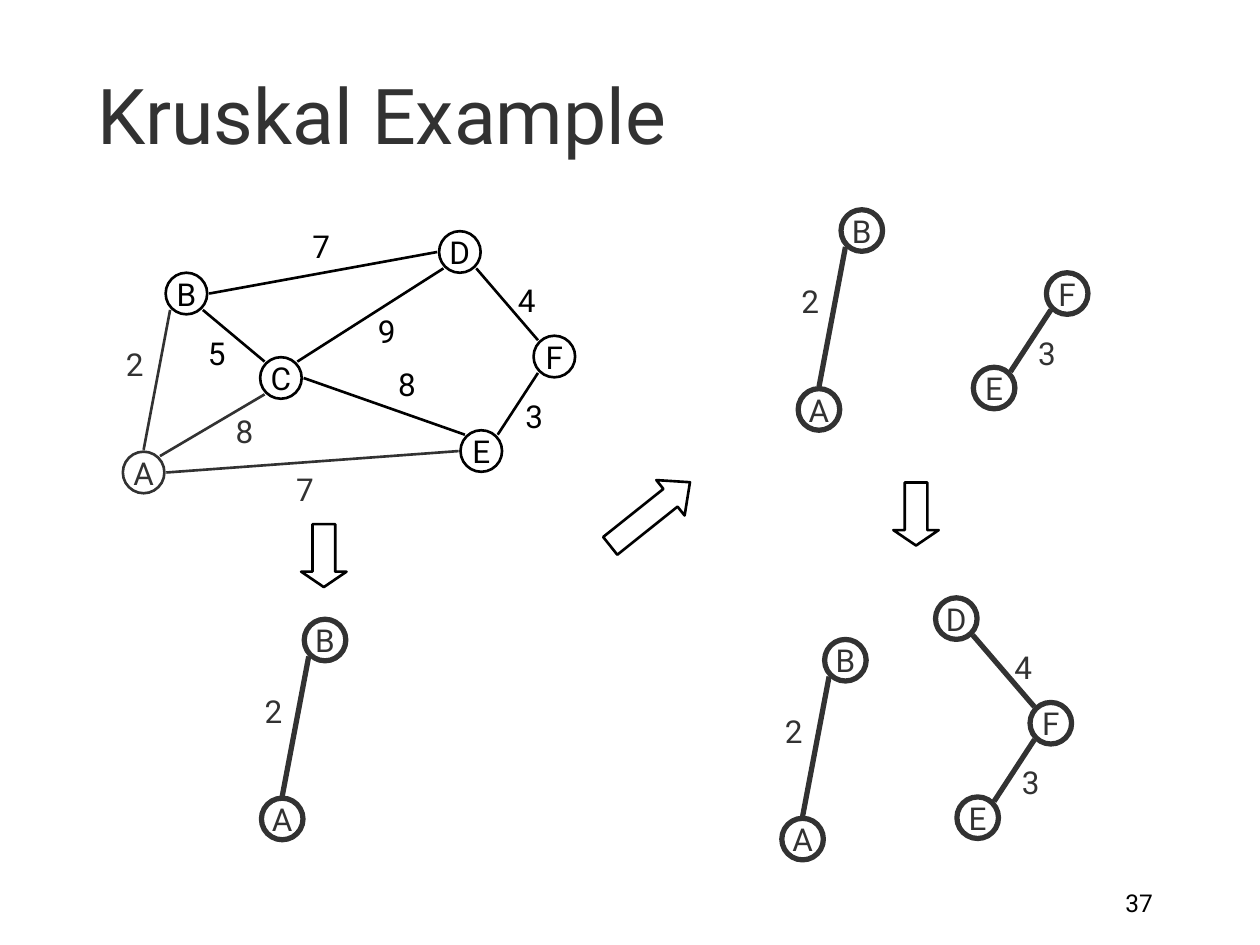
from lxml.etree import SubElement
from pptx import Presentation
from pptx.dml.color import RGBColor
from pptx.enum.shapes import MSO_CONNECTOR, MSO_SHAPE
from pptx.enum.text import MSO_ANCHOR, MSO_AUTO_SIZE, PP_ALIGN
from pptx.oxml.ns import qn
from pptx.util import Inches, Pt

COLS, ROWS = 10, 7.5
DARK, BLACK, WHITE = "323232", "000000", "FFFFFF"

NODES = {
    "A": (1.14, 3.75), "B": (1.48, 2.33), "C": (2.23, 3),
    "D": (3.65, 2), "E": (3.82, 3.58), "F": (4.4, 2.83),
}
EDGES = [
    ("B", "se", "C", "nw", 5, (1.72, 2.8)),
    ("C", "sw", "A", "ne", 8, (1.94, 3.42)),
    ("B", "sw", "A", "n", 2, (1.07, 2.89)),
    ("C", "e", "E", "nw", 8, (3.23, 3.05)),
    ("A", "e", "E", "w", 7, (2.42, 3.88)),
    ("B", "e", "D", "w", 7, (2.55, 1.95)),
    ("C", "ne", "D", "sw", 9, (3.07, 2.63)),
    ("F", "nw", "D", "se", 4, (4.18, 2.38)),
    ("E", "ne", "F", "sw", 3, (4.24, 3.3)),
]
SUBTREES = [
    ("AB", 1.1, 2.75),
    ("AB", 5.36, -0.5), ("EF", 4.07, -0.5),
    ("AB", 5.23, 2.91), ("DEF", 3.94, 2.91),
]
ARROWS = [
    (2.57, 4.41, 0.5, 90, 0.34),
    (5.16, 4.08, 0.81, 321.4, 0.55),
    (7.27, 4.08, 0.5, 90, 0.34),
]


def rgb(color):
    return RGBColor.from_string(color)


def site(center, side):
    x, y = center
    reach = 0.13 if len(side) == 2 else 0.18
    return (x + reach * (("e" in side) - ("w" in side)),
            y + reach * (("s" in side) - ("n" in side)))


class Deck:
    font = "Roboto"
    diameter = 0.33

    def __init__(self):
        self.prs = Presentation()
        self.prs.slide_width, self.prs.slide_height = Inches(10), Inches(7.5)
        self.slide = self.prs.slides.add_slide(self.prs.slide_layouts[5])
        self.slide.background.fill.solid()
        self.slide.background.fill.fore_color.rgb = rgb(WHITE)

    def x(self, col):
        return round(self.prs.slide_width * col / COLS)

    def y(self, row):
        return round(self.prs.slide_height * row / ROWS)

    def box(self, left, top, width, height):
        return self.x(left), self.y(top), self.x(width), self.y(height)

    def centered(self, center, width, height):
        x, y = center
        return self.box(x - width / 2, y - height / 2, width, height)

    def set_text(self, sp, text, size, color, align, anchor, wrap=False):
        tf = sp.text_frame
        tf.text = text
        tf.word_wrap = wrap
        tf.auto_size = MSO_AUTO_SIZE.NONE
        tf.vertical_anchor = anchor
        p = tf.paragraphs[0]
        p.alignment = align
        p.font.name, p.font.size = self.font, Pt(size)
        p.font.color.rgb = rgb(color)

    def title(self, text, *box):
        sp = self.slide.shapes.title
        sp.left, sp.top, sp.width, sp.height = self.box(*box)
        self.set_text(sp, text, 44, DARK, PP_ALIGN.LEFT, MSO_ANCHOR.BOTTOM, True)

    def number(self, text, *box):
        sp = self.slide.shapes.add_textbox(*self.box(*box))
        self.set_text(sp, text, 14, BLACK, PP_ALIGN.RIGHT, MSO_ANCHOR.BOTTOM, True)

    def label(self, text, center, color):
        sp = self.slide.shapes.add_textbox(*self.centered(center, 0.34, 0.4))
        self.set_text(sp, text, 18, color, PP_ALIGN.CENTER, MSO_ANCHOR.TOP)

    def outline(self, kind, box, color, weight):
        sp = self.slide.shapes.add_shape(kind, *box)
        sp.shadow.inherit = False
        sp.fill.background()
        sp.line.color.rgb, sp.line.width = rgb(color), Pt(weight)
        return sp

    def node(self, name, center, color, weight):
        box = self.centered(center, self.diameter, self.diameter)
        sp = self.outline(MSO_SHAPE.OVAL, box, color, weight)
        self.set_text(sp, name, 18, color, PP_ALIGN.CENTER, MSO_ANCHOR.MIDDLE)

    def edge(self, start, end, color, weight):
        line = self.slide.shapes.add_connector(
            MSO_CONNECTOR.STRAIGHT, self.x(start[0]), self.y(start[1]),
            self.x(end[0]), self.y(end[1]))
        line.line.color.rgb, line.line.width = rgb(color), Pt(weight)
        SubElement(line._element.spPr, qn("a:effectLst"))

    def arrow(self, x, y, length, angle, head):
        box = self.centered((x, y), length, 0.36)
        sp = self.outline(MSO_SHAPE.RIGHT_ARROW, box, BLACK, 1.5)
        sp.rotation = angle
        sp.adjustments[0], sp.adjustments[1] = 0.5, head

    def graph(self, names, dx=0, dy=0, rest=DARK, weight=3):
        def moved(point):
            return point[0] + dx, point[1] + dy

        centers = {name: moved(NODES[name]) for name in names}
        for name, center in centers.items():
            self.node(name, center, DARK if name == "A" else rest, weight)
        for a, a_side, b, b_side, cost, spot in EDGES:
            if a in centers and b in centers:
                color = DARK if "A" in (a, b) else rest
                self.edge(site(centers[a], a_side), site(centers[b], b_side),
                          color, weight)
                self.label(str(cost), moved(spot), color)


def main():
    deck = Deck()
    deck.title("Kruskal Example", 0.67, 0.33, 8.5, 0.99)
    deck.graph("ABCDEF", rest=BLACK, weight=1.5)
    for subtree in SUBTREES:
        deck.graph(*subtree)
    for arrow in ARROWS:
        deck.arrow(*arrow)
    deck.number("37", 7.17, 6.83, 2.08, 0.5)
    deck.prs.save("out.pptx")


if __name__ == "__main__":
    main()
